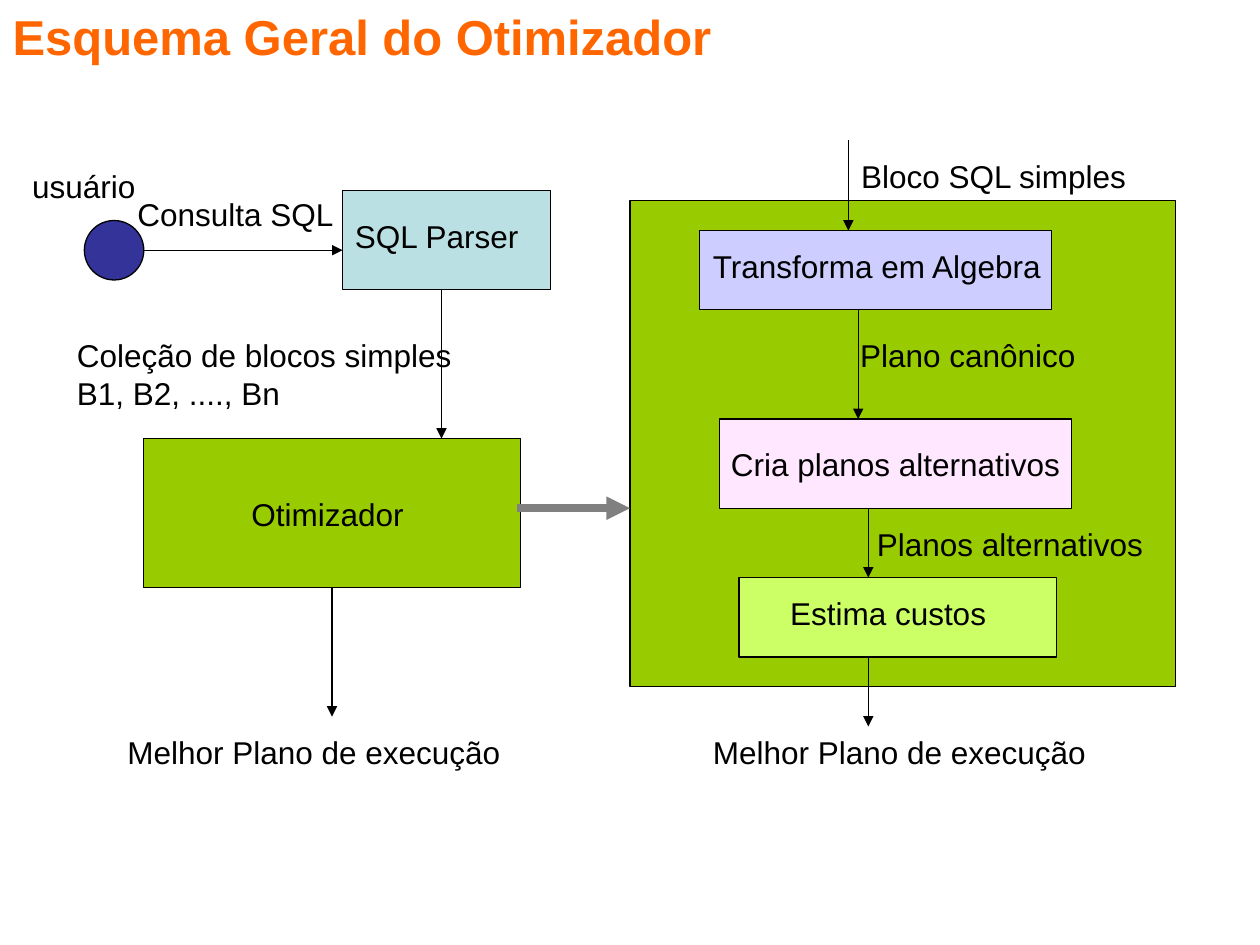
from dataclasses import dataclass
from typing import Optional

from lxml.etree import SubElement
from pptx import Presentation
from pptx.dml.color import RGBColor
from pptx.enum.shapes import MSO_CONNECTOR, MSO_SHAPE
from pptx.enum.text import MSO_ANCHOR, MSO_AUTO_SIZE, PP_ALIGN
from pptx.oxml.ns import qn
from pptx.shapes.autoshape import Shape
from pptx.shapes.connector import Connector
from pptx.slide import Slide
from pptx.text.text import TextFrame
from pptx.util import Pt


@dataclass(frozen=True)
class Theme:
    font: str = "Arial"
    title_size: float = 28
    body_size: float = 18
    thin_line: float = 0.75
    thick_line: float = 4.5
    black: str = "000000"
    title: str = "FF6600"
    user: str = "333399"
    parser: str = "BBE0E3"
    optimizer: str = "99CC00"
    transform: str = "CDCDFF"
    create: str = "FFE7FF"
    estimate: str = "CCFF66"
    link: str = "808080"


THEME = Theme()


@dataclass(frozen=True)
class Block:
    key: str
    left: float
    top: float
    width: float
    height: float
    fill: str
    geometry: MSO_SHAPE = MSO_SHAPE.RECTANGLE
    text: Optional[str] = None


@dataclass(frozen=True)
class Label:
    text: str
    left: float
    top: float
    width: float
    height: float = 28.8


@dataclass(frozen=True)
class Arrow:
    start: tuple[float, float]
    end: tuple[float, float]
    color: str = THEME.black
    weight: float = THEME.thin_line
    from_bottom_of: Optional[str] = None


BLOCKS = [
    Block("stages", 360, 114.5, 311.8, 278, THEME.optimizer),
    Block("parser", 195.7, 108.7, 119, 56.7, THEME.parser),
    Block("user", 48.2, 126, 34, 34, THEME.user, MSO_SHAPE.OVAL),
    Block("optimizer", 82, 250.6, 215.5, 85, THEME.optimizer),
    Block("transform", 399.7, 131.8, 201.2, 45.2, THEME.transform),
    Block("create", 411, 239.4, 201.5, 51, THEME.create,
          text="Cria planos alternativos"),
    Block("estimate", 422.3, 330, 181.4, 45.5, THEME.estimate),
]

ARROWS = [
    Arrow((82, 143), (195.7, 143)),
    Arrow((252.3, 165.4), (252.3, 250.6)),
    Arrow((189.75, 335.6), (189.75, 409.5), from_bottom_of="optimizer"),
    Arrow((484.8, 80.3), (484.8, 131.8)),
    Arrow((490.4, 177), (490.4, 239.4)),
    Arrow((496.2, 290.4), (496.2, 330)),
    Arrow((496.2, 375.5), (496.2, 415.2)),
    Arrow((295.5, 290.4), (360, 290.4), THEME.link, THEME.thick_line),
]

LABELS = [
    Label("usuário", 11.3, 91.9, 73.4),
    Label("Consulta SQL", 71.4, 108.2, 131),
    Label("SQL Parser", 195.8, 120.6, 113),
    Label("Coleção de blocos simples\nB1, B2, ...., Bn", 36.9, 188.6, 232, 50.4),
    Label("Otimizador", 136.6, 279.4, 101.5),
    Label("Melhor Plano de execução", 65.8, 415.6, 227.5),
    Label("Bloco SQL simples", 485, 86.2, 166.3),
    Label("Transforma em Algebra", 400.3, 137.6, 203),
    Label("Plano canônico", 484.4, 188.6, 137.5),
    Label("Planos alternativos", 494, 296.4, 166.3),
    Label("Estima custos", 444.4, 335.9, 131),
    Label("Melhor Plano de execução", 400.3, 415.6, 227.5),
]


def write_text(frame: TextFrame, text: str, *, size: float = THEME.body_size,
               color: str = THEME.black, bold: bool = False, wrap: bool = False,
               alignment: PP_ALIGN = PP_ALIGN.LEFT,
               anchor: MSO_ANCHOR = MSO_ANCHOR.TOP,
               auto_size: MSO_AUTO_SIZE = MSO_AUTO_SIZE.NONE) -> None:
    frame.text = text
    frame.word_wrap = wrap
    frame.auto_size = auto_size
    frame.vertical_anchor = anchor
    for paragraph in frame.paragraphs:
        paragraph.alignment = alignment
        font = paragraph.font
        font.name = THEME.font
        font.size = Pt(size)
        font.bold = bold
        font.color.rgb = RGBColor.from_string(color)


def add_title(slide: Slide, text: str) -> None:
    title = slide.shapes.title
    title.left, title.top, title.width, title.height = Pt(0), Pt(0), Pt(720), Pt(54)
    write_text(title.text_frame, text, size=THEME.title_size,
               color=THEME.title, bold=True, wrap=True)


def add_block(slide: Slide, block: Block) -> Shape:
    shape = slide.shapes.add_shape(block.geometry, Pt(block.left), Pt(block.top),
                                   Pt(block.width), Pt(block.height))
    shape.shadow.inherit = False
    shape.fill.solid()
    shape.fill.fore_color.rgb = RGBColor.from_string(block.fill)
    shape.line.color.rgb = RGBColor.from_string(THEME.black)
    shape.line.width = Pt(THEME.thin_line)
    if block.text:
        write_text(shape.text_frame, block.text, alignment=PP_ALIGN.CENTER,
                   anchor=MSO_ANCHOR.MIDDLE)
    return shape


def add_arrow(slide: Slide, arrow: Arrow, shapes: dict[str, Shape]) -> Connector:
    """Draw a line with a triangle at its end, joined to its block if one is named."""
    connector = slide.shapes.add_connector(
        MSO_CONNECTOR.STRAIGHT, *(Pt(value) for value in arrow.start + arrow.end))
    if arrow.from_bottom_of:
        connector.begin_connect(shapes[arrow.from_bottom_of], 2)
    connector.line.color.rgb = RGBColor.from_string(arrow.color)
    connector.line.width = Pt(arrow.weight)
    properties = connector._element.spPr
    SubElement(properties.find(qn("a:ln")), qn("a:tailEnd"), type="triangle")
    SubElement(properties, qn("a:effectLst"))
    return connector


def add_label(slide: Slide, label: Label) -> None:
    box = slide.shapes.add_textbox(Pt(label.left), Pt(label.top),
                                   Pt(label.width), Pt(label.height))
    write_text(box.text_frame, label.text)


def main() -> None:
    presentation = Presentation()
    presentation.slide_width, presentation.slide_height = Pt(720), Pt(540)
    slide = presentation.slides.add_slide(
        presentation.slide_layouts.get_by_name("Title Only"))
    add_title(slide, "Esquema Geral do Otimizador")
    shapes = {block.key: add_block(slide, block) for block in BLOCKS}
    for arrow in ARROWS:
        add_arrow(slide, arrow, shapes)
    for label in LABELS:
        add_label(slide, label)
    presentation.save("out.pptx")


if __name__ == "__main__":
    main()
